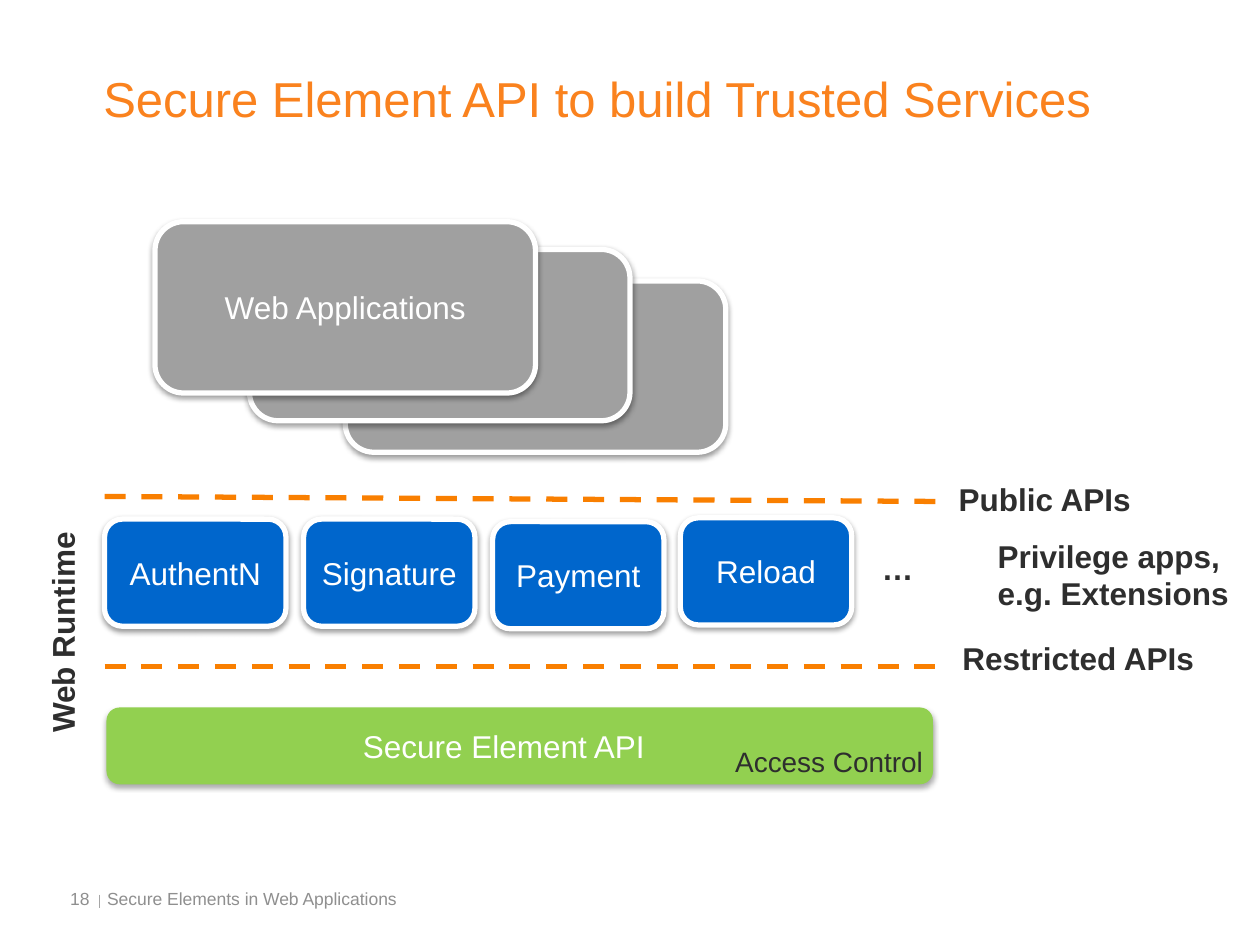
from dataclasses import dataclass
from typing import Optional

from lxml.etree import SubElement
from pptx import Presentation
from pptx.dml.color import RGBColor
from pptx.enum.dml import MSO_LINE as Dash
from pptx.enum.shapes import MSO_CONNECTOR as Conn, MSO_SHAPE as Kind
from pptx.enum.text import MSO_ANCHOR as Anchor, PP_ALIGN as Align
from pptx.oxml.ns import qn
from pptx.util import Emu, Pt

SCALE = 9144  # EMU per px, 100 px to the inch

WHITE = RGBColor(0xFF, 0xFF, 0xFF)
DARK = RGBColor(0x2E, 0x2E, 0x2E)
TITLE = RGBColor(0xFA, 0x82, 0x1E)
ORANGE = RGBColor(0xF9, 0x7F, 0x00)
BLUE = RGBColor(0x00, 0x66, 0xCC)
GRAY = RGBColor(0xA0, 0xA0, 0xA0)
GREEN = RGBColor(0x92, 0xD0, 0x50)
FOOT = RGBColor(0x8F, 0x8F, 0x8F)
RULE = RGBColor(0xA6, 0xA6, 0xA6)


@dataclass
class Box:
    x: int
    y: int
    w: int
    h: int
    text: str = ""
    fill: Optional[RGBColor] = None
    edge: RGBColor = WHITE
    thick: float = 3
    ink: RGBColor = WHITE
    size: int = 18
    align: Align = Align.CENTER
    right: int = 10
    depth: int = 20000
    alpha: int = 38


@dataclass
class Label:
    x: int
    y: int
    w: int
    h: int
    text: str
    size: int = 18
    ink: RGBColor = DARK
    bold: bool = True
    wrap: bool = False
    inset: bool = True
    anchor: Anchor = Anchor.TOP
    align: Align = Align.LEFT
    turn: int = 0


@dataclass
class Line:
    x1: int
    y1: int
    x2: int
    y2: int
    ink: RGBColor = ORANGE
    thick: float = 3
    dash: Optional[Dash] = Dash.DASH


def px(*vals: int) -> list[Emu]:
    return [Emu(v * SCALE) for v in vals]


def write(frame, text: str, align: Align, form: dict, ink: RGBColor) -> None:
    frame.text = text
    para = frame.paragraphs[0]
    para.alignment = align
    for run in para.runs:
        for key, val in form.items():
            setattr(run.font, key, val)
        run.font.color.rgb = ink


def shade(shape, box: Box) -> None:
    list_ = shape._element.spPr.find(qn("a:effectLst"))
    drop = SubElement(list_, qn("a:outerShdw"), blurRad="40000",
                      dist=str(box.depth), dir="5400000", rotWithShape="0")
    tint = SubElement(drop, qn("a:srgbClr"), val="000000")
    SubElement(tint, qn("a:alpha"), val=str(box.alpha * 1000))


def draw_box(slide, box: Box) -> None:
    shape = slide.shapes.add_shape(
        Kind.ROUNDED_RECTANGLE, *px(box.x, box.y, box.w, box.h))
    shape.shadow.inherit = False
    if box.fill is None:
        shape.fill.background()
        shape.line.fill.background()
    else:
        shape.fill.solid()
        shape.fill.fore_color.rgb = box.fill
        shape.line.color.rgb = box.edge
        shape.line.width = Pt(box.thick)
        shade(shape, box)
    if box.text:
        frame = shape.text_frame
        frame.vertical_anchor = Anchor.MIDDLE
        frame.margin_right = px(box.right)[0]
        form = {"name": "Arial", "size": Pt(box.size)}
        write(frame, box.text, box.align, form, box.ink)


def draw_label(slide, lab: Label) -> None:
    shape = slide.shapes.add_textbox(*px(lab.x, lab.y, lab.w, lab.h))
    shape.rotation = lab.turn
    frame = shape.text_frame
    frame.word_wrap = lab.wrap
    frame.vertical_anchor = lab.anchor
    if not lab.inset:
        for side in ("left", "top", "right", "bottom"):
            setattr(frame, f"margin_{side}", 0)
    form = {"name": "Arial", "size": Pt(lab.size), "bold": lab.bold}
    write(frame, lab.text, lab.align, form, lab.ink)


def draw_line(slide, line: Line) -> None:
    conn = slide.shapes.add_connector(
        Conn.STRAIGHT, *px(line.x1, line.y1, line.x2, line.y2))
    conn.line.color.rgb = line.ink
    conn.line.width = Pt(line.thick)
    if line.dash:
        conn.line.dash_style = line.dash
    SubElement(conn._element.spPr, qn("a:effectLst"))


PLAIN = {"bold": False, "wrap": True, "inset": False}
NOTE = {**PLAIN, "size": 10, "ink": FOOT, "anchor": Anchor.MIDDLE}

HEAD = Label(82, 48, 868, 53, "Secure Element API to build Trusted Services",
             size=28, ink=TITLE, anchor=Anchor.BOTTOM, **PLAIN)

SERVICES = [Box(x, y, w, 85, text, BLUE) for x, y, w, text in (
    (83, 412, 144, "AuthentN"),
    (241, 412, 136, "Signature"),
    (391, 414, 136, "Payment"),
    (540, 411, 136, "Reload"),
)]

APPS = [Box(x, y, 302, 136, text, GRAY) for x, y, text in (
    (274, 223, ""),
    (198, 198, ""),
    (123, 176, "Web Applications"),
)]

BASE = [
    Box(85, 562, 655, 60, "Secure Element API", GREEN, edge=GREEN,
        thick=0.75, right=35, depth=23000, alpha=35),
    Box(572, 587, 181, 34, "Access Control", ink=DARK, size=16,
        align=Align.LEFT),
]

LINES = [
    Line(79, 710, 79, 721, RULE, 0.75, None),
    Line(83, 394, 746, 398),
    Line(83, 529, 751, 529),
]

LABELS = [
    Label(690, 431, 45, 40, "…"),
    Label(751, 376, 158, 40, "Public APIs"),
    Label(754, 502, 206, 40, "Restricted APIs"),
    Label(-41, 481, 181, 40, "Web Runtime", turn=270),
    Label(782, 421, 205, 71, "Privilege apps, \ve.g. Extensions"),
    Label(42, 705, 29, 17, "18", align=Align.RIGHT, **NOTE),
    Label(85, 705, 308, 17, "Secure Elements in Web Applications", **NOTE),
]


def main() -> None:
    deck = Presentation()
    deck.slide_width, deck.slide_height = px(1000, 750)
    slide = deck.slides.add_slide(deck.slide_layouts[6])

    # Title
    draw_label(slide, HEAD)
    # Services and the stack of applications
    for box in SERVICES + APPS:
        draw_box(slide, box)
    # API borders and footer rule
    for line in LINES:
        draw_line(slide, line)
    # Side labels and footer
    for lab in LABELS:
        draw_label(slide, lab)
    # Secure Element layer
    for box in BASE:
        draw_box(slide, box)

    deck.save("out.pptx")


if __name__ == "__main__":
    main()
